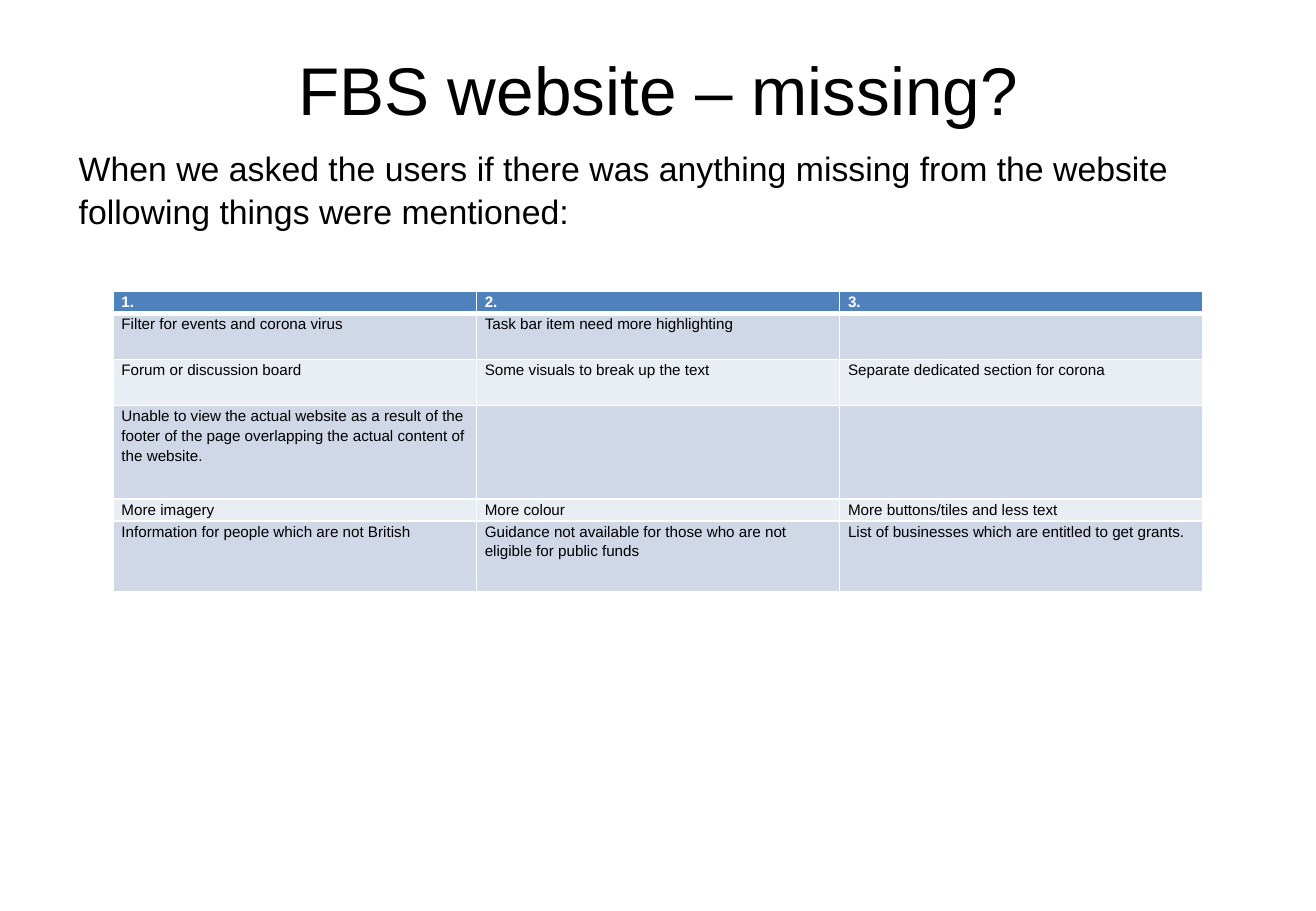
from lxml import etree
from pptx import Presentation
from pptx.dml.color import RGBColor
from pptx.enum.text import MSO_ANCHOR, PP_ALIGN
from pptx.oxml.ns import qn
from pptx.util import Inches, Pt

BLACK = RGBColor(0x00, 0x00, 0x00)
WHITE = RGBColor(0xFF, 0xFF, 0xFF)
HEADER_BLUE = RGBColor(0x4F, 0x81, 0xBD)
BAND_DARK = RGBColor(0xD0, 0xD8, 0xE8)
BAND_LIGHT = RGBColor(0xE9, 0xED, 0xF4)

COLUMN_WIDTH = 2.99
ROW_HEIGHTS = [0.18, 0.38, 0.38, 0.77, 0.18, 0.58]
ROWS = [
    ["1.", "2.", "3."],
    ["Filter for events and corona virus", "Task bar item need more highlighting", ""],
    ["Forum or discussion board", "Some visuals to break up the text",
     "Separate dedicated section for corona"],
    ["Unable to view the actual website as a result of the footer of the page "
     "overlapping the actual content of the website.", "", ""],
    ["More imagery", "More colour", "More buttons/tiles and less text"],
    ["Information for people which are not British",
     "Guidance not available for those who are not eligible for public funds",
     "List of businesses which are entitled to get grants."],
]


class SlideBuilder:
    font = "Arial"

    def __init__(self, slide):
        self.slide = slide

    def style(self, p, size, color=BLACK, bold=False):
        for r in p.runs:
            r.font.name = self.font
            r.font.size = Pt(size)
            r.font.bold = bold
            r.font.color.rgb = color

    def text(self, text, left, top, width, height, size,
             align=PP_ALIGN.LEFT, spacing=1.0):
        box = self.slide.shapes.add_textbox(
            Inches(left), Inches(top), Inches(width), Inches(height))
        tf = box.text_frame
        tf.word_wrap = True
        tf.vertical_anchor = MSO_ANCHOR.TOP
        tf.text = text
        p = tf.paragraphs[0]
        p.alignment = align
        p.line_spacing = spacing
        self.style(p, size)

    def borders(self, cell, top, bottom):
        """Draw white cell borders, 1 pt at the sides."""
        tc_pr = cell._tc.get_or_add_tcPr()
        for side, width in (("L", 1), ("R", 1), ("T", top), ("B", bottom)):
            ln = etree.SubElement(tc_pr, qn(f"a:ln{side}"), w=str(Pt(width)))
            fill = etree.SubElement(ln, qn("a:solidFill"))
            etree.SubElement(fill, qn("a:srgbClr"), val=str(WHITE))

    def cell(self, cell, text, row):
        header = row == 0
        self.borders(cell, top=3 if row == 1 else 1, bottom=3 if header else 1)
        cell.fill.solid()
        band = BAND_DARK if row % 2 else BAND_LIGHT
        cell.fill.fore_color.rgb = HEADER_BLUE if header else band
        cell.margin_left = cell.margin_right = Inches(0.07)
        cell.margin_top = cell.margin_bottom = 0
        if text:
            cell.text_frame.text = text
            p = cell.text_frame.paragraphs[0]
            p.line_spacing = 1.15
            self.style(p, 9, WHITE if header else BLACK, header)

    def table(self, rows, left, top, column_width, row_heights):
        columns = len(rows[0])
        table = self.slide.shapes.add_table(
            len(rows), columns, Inches(left), Inches(top),
            Inches(column_width * columns), Inches(sum(row_heights))).table
        for column in table.columns:
            column.width = Inches(column_width)
        for i, (texts, height) in enumerate(zip(rows, row_heights)):
            table.rows[i].height = Inches(height)
            for j, text in enumerate(texts):
                self.cell(table.cell(i, j), text, i)


def main():
    prs = Presentation()
    prs.slide_width = Inches(10.83)
    prs.slide_height = Inches(7.5)
    builder = SlideBuilder(prs.slides.add_slide(prs.slide_layouts[6]))
    builder.text("FBS website – missing?", 0.54, 0.35, 9.75, 0.8, 40,
                 align=PP_ALIGN.CENTER)
    builder.text("When we asked the users if there was anything missing from "
                 "the website following things were mentioned:",
                 0.55, 1.15, 9.74, 1.0, 20, spacing=1.06)
    builder.table(ROWS, 0.93, 2.4, COLUMN_WIDTH, ROW_HEIGHTS)
    prs.save("out.pptx")


if __name__ == "__main__":
    main()
